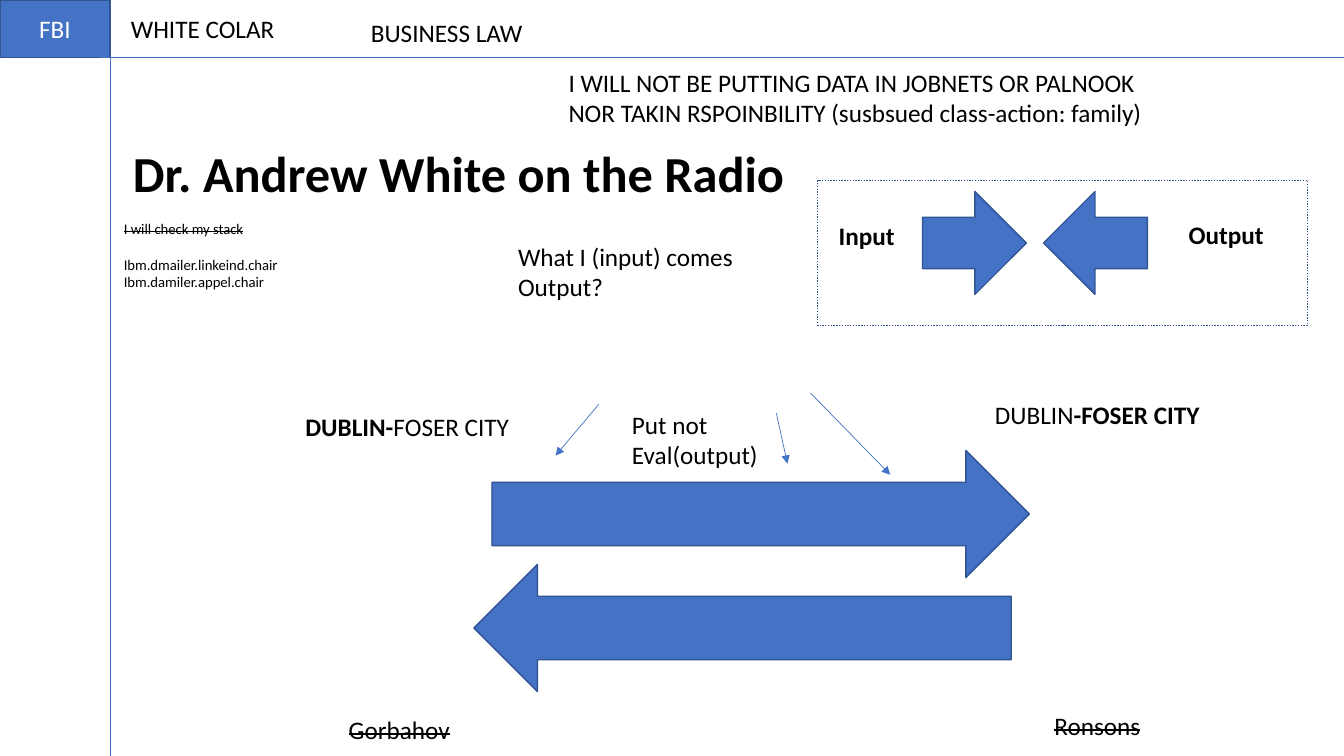
from lxml import etree
from pptx import Presentation
from pptx.dml.color import RGBColor
from pptx.enum.dml import MSO_LINE
from pptx.enum.shapes import MSO_CONNECTOR, MSO_SHAPE
from pptx.enum.text import MSO_ANCHOR, MSO_AUTO_SIZE, PP_ALIGN
from pptx.oxml.ns import qn
from pptx.util import Pt

EMU_PER_PX = 9144  # 100 px to the inch
RECTANGLE = MSO_SHAPE.RECTANGLE
RIGHT_ARROW = MSO_SHAPE.RIGHT_ARROW
STRAIGHT = MSO_CONNECTOR.STRAIGHT
DOTTED = MSO_LINE.ROUND_DOT
FIT_SHAPE = MSO_AUTO_SIZE.SHAPE_TO_FIT_TEXT
MIDDLE = MSO_ANCHOR.MIDDLE
CENTER = PP_ALIGN.CENTER

FONT = "Calibri"
BLUE = "4472C4"
DARK_BLUE = "325491"
BLACK = "000000"
WHITE = "FFFFFF"


def px(length):
    return length * EMU_PER_PX


def color(hex_string):
    return RGBColor.from_string(hex_string)


def add_run(paragraph, text, size=18, ink=BLACK, bold=False, strike=False):
    run = paragraph.add_run()
    run.text = text
    font = run.font
    font.name = FONT
    font.size = Pt(size)
    font.bold = bold
    font.color.rgb = color(ink)
    if strike:
        run._r.get_or_add_rPr().set("strike", "sngStrike")


def add_text(slide, box, *lines, size=18):
    """Add a text box; each line is a list of (text, style) runs."""
    frame = slide.shapes.add_textbox(*map(px, box)).text_frame
    frame.word_wrap = False
    frame.auto_size = FIT_SHAPE
    for index, runs in enumerate(lines):
        paragraph = frame.add_paragraph() if index else frame.paragraphs[0]
        for text, style in runs:
            add_run(paragraph, text, size, **style)
    return frame


def add_block(slide, preset, box, fill=BLUE, rotation=0):
    shape = slide.shapes.add_shape(preset, *map(px, box))
    shape.shadow.inherit = False
    shape.rotation = rotation
    if fill:
        shape.fill.solid()
        shape.fill.fore_color.rgb = color(fill)
    else:
        shape.fill.background()
    shape.line.color.rgb = color(DARK_BLUE)
    shape.line.width = Pt(1)
    return shape


def add_line(slide, start, end, arrow=False):
    connector = slide.shapes.add_connector(STRAIGHT, *map(px, start + end))
    connector.line.color.rgb = color(BLUE)
    connector.line.width = Pt(0.5)
    if arrow:
        head = etree.SubElement(connector.line._get_or_add_ln(), qn("a:tailEnd"))
        head.set("type", "triangle")
    etree.SubElement(connector._element.spPr, qn("a:effectLst"))


def add_header(slide):
    add_line(slide, (109, 0), (109, 750))
    badge = add_block(slide, RECTANGLE, (0, 0, 109, 57))
    badge.text_frame.vertical_anchor = MIDDLE
    paragraph = badge.text_frame.paragraphs[0]
    paragraph.alignment = CENTER
    add_run(paragraph, "FBI", ink=WHITE)
    add_line(slide, (99, 57), (1333, 57))


def add_labels(slide):
    plain, bold, struck = {}, {"bold": True}, {"strike": True}
    labels = [
        ((120, 8, 164, 40), [("WHITE COLAR", plain)]),
        ((358, 12, 172, 40), [("BUSINESS LAW", plain)]),
        ((554, 62, 595, 71),
         [("I WILL NOT BE PUTTING DATA IN JOBNETS OR PALNOOK", plain)],
         [("NOR TAKIN RSPOINBILITY (susbsued class-action: family)", plain)]),
        ((504, 234, 236, 71),
         [("What I (input) comes", plain)], [("Output?", plain)]),
        ((617, 401, 146, 71),
         [("Put not", plain)], [("Eval(output)", plain)]),
        ((293, 403, 225, 40), [("DUBLIN-", bold), ("FOSER CITY", plain)]),
        ((977, 391, 225, 40), [("DUBLIN", plain), ("-FOSER CITY", bold)]),
        ((822, 214, 76, 40), [("Input", bold)]),
        ((1169, 213, 95, 40), [("Output", bold)]),
        ((336, 704, 122, 40), [("Gorbahov", struck)]),
        ((1036, 700, 106, 40), [("Ronsons", struck)]),
    ]
    for box, *lines in labels:
        add_text(slide, box, *lines)

    add_text(slide, (122, 136, 673, 71),
             [("Dr. Andrew White on the Radio", bold)], size=36)
    stack = add_text(slide, (113, 213, 177, 81),
                     [("I will check my stack", struck)],
                     [("Ibm.dmailer.linkeind.chair", plain)],
                     [("Ibm.damiler.appel.chair", plain)], size=10.5)
    stack.paragraphs[1].space_before = Pt(13)


def add_arrows(slide):
    arrows = [
        ((488, 447, 533, 126), 0),
        ((470, 560, 533, 126), 180),
        ((915, 190, 103, 102), 0),
        ((1035, 190, 103, 102), 180),
    ]
    for box, rotation in arrows:
        add_block(slide, RIGHT_ARROW, box, rotation=rotation)

    frame = add_block(slide, RECTANGLE, (811, 179, 486, 144), fill=None)
    frame.line.dash_style = DOTTED

    pointers = [
        ((594, 401), (551, 452)),
        ((804, 390), (883, 471)),
        ((770, 410), (781, 460)),
    ]
    for start, end in pointers:
        add_line(slide, start, end, arrow=True)


def main():
    presentation = Presentation()
    presentation.slide_width = px(1333)
    presentation.slide_height = px(750)
    slide = presentation.slides.add_slide(presentation.slide_layouts[6])
    add_header(slide)
    add_arrows(slide)
    add_labels(slide)
    presentation.save("out.pptx")


if __name__ == "__main__":
    main()
